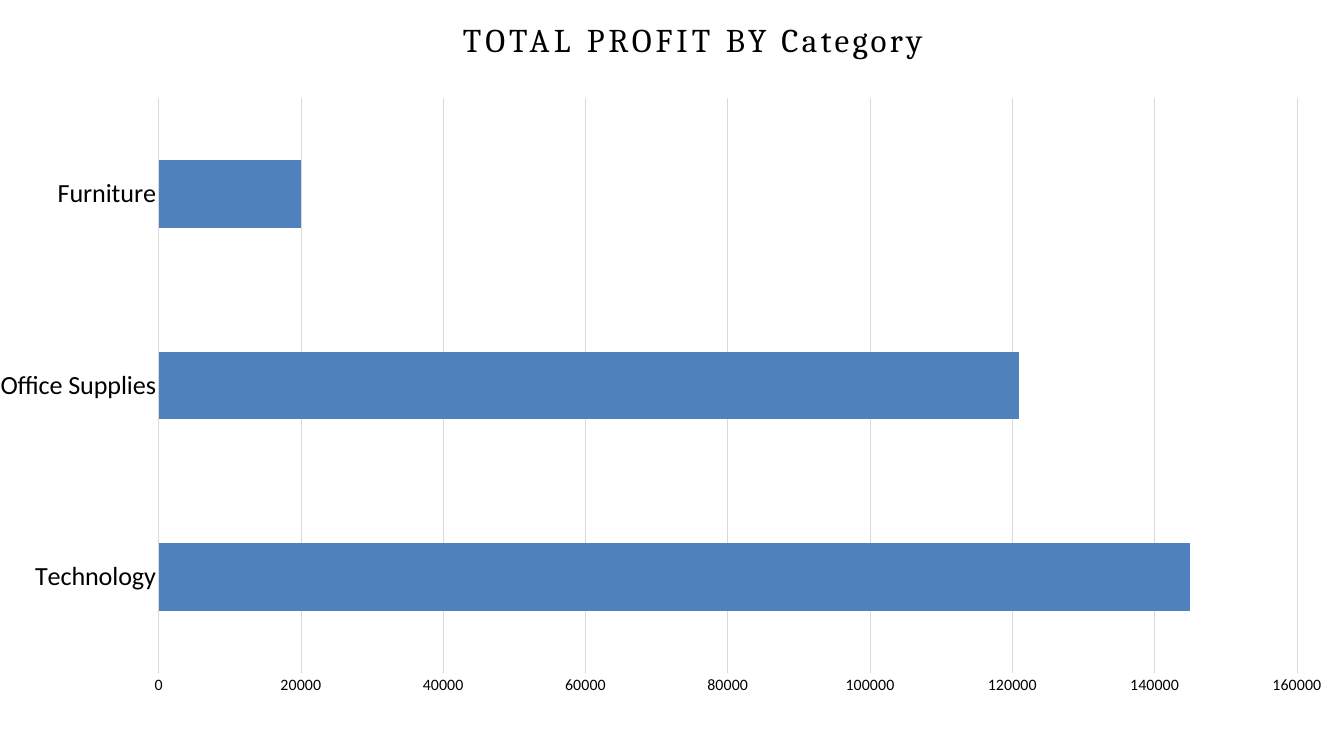
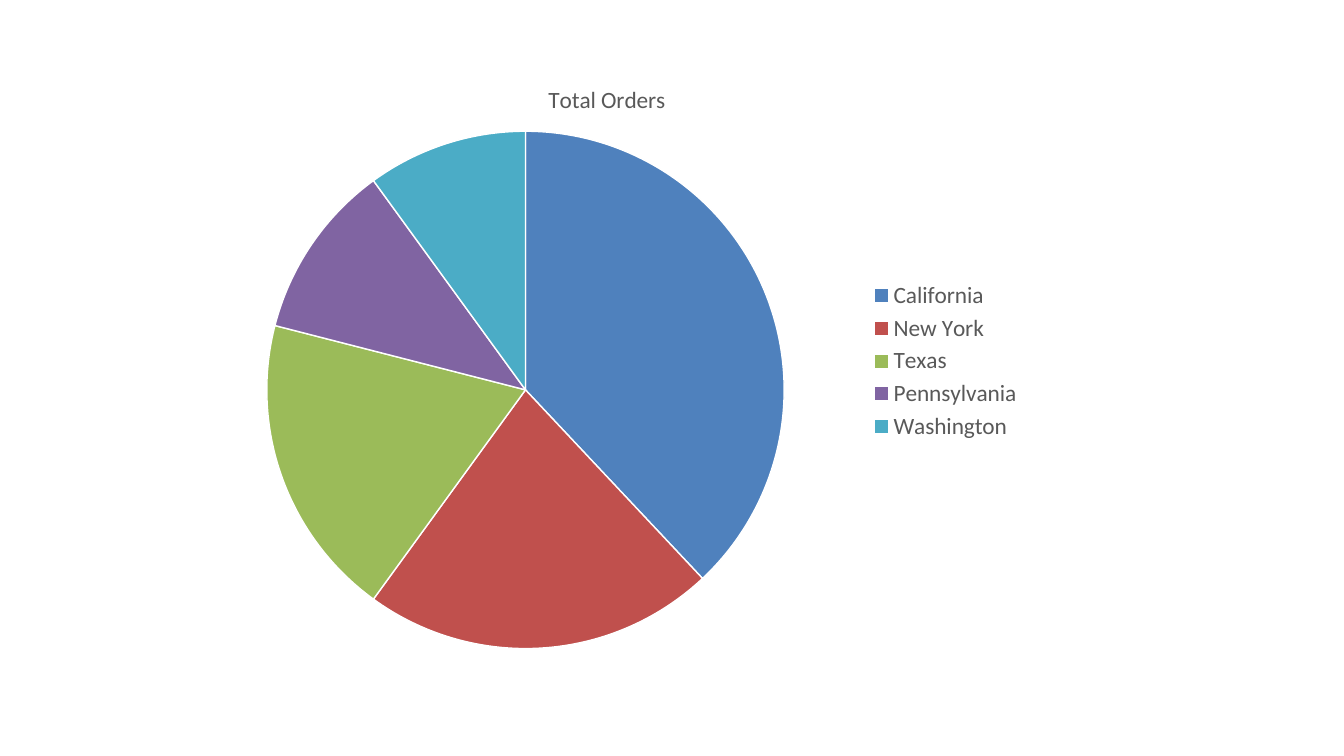
import dataclasses

import lxml.etree
import pptx
import pptx.chart.data
import pptx.dml.color
import pptx.enum.chart
import pptx.enum.text
import pptx.oxml.ns
import pptx.util
from pptx.util import Inches

RGB = pptx.dml.color.RGBColor.from_string


@dataclasses.dataclass(frozen=True)
class Theme:
    heading_font: str = "Cambria"
    body_font: str = "Calibri"
    black: str = "000000"
    white: str = "FFFFFF"
    gray: str = "595959"
    grid: str = "D9D9D9"
    accents: tuple = ("4F81BD", "C0504D", "9BBB59", "8064A2", "4BACC6")
    heading_size: float = 35.5
    chart_size: float = 10
    value_size: float = 17
    legend_size: float = 25
    category_size: float = 28


theme = Theme()


def style_font(font, size, color, name=theme.body_font):
    font.name = name
    font.size = pptx.util.Pt(size)
    font.bold = False
    font.color.rgb = RGB(color)


def add_chart(slide, kind, box, series_name, values):
    data = pptx.chart.data.CategoryChartData()
    data.categories = list(values)
    data.add_series(series_name, list(values.values()))
    frame = slide.shapes.add_chart(kind, *(Inches(length) for length in box), data)
    style_font(frame.chart.font, theme.chart_size, theme.black)
    return frame.chart


presentation = pptx.Presentation()
presentation.slide_width = Inches(20)
presentation.slide_height = Inches(11.25)
blank_layout = presentation.slide_layouts[6]

# Slide 1: heading, with letter spacing that tightens word by word
slide = presentation.slides.add_slide(blank_layout)
heading = slide.shapes.add_textbox(Inches(6.89), Inches(0.27), Inches(8.44), Inches(0.62))
text_frame = heading.text_frame
text_frame.word_wrap = True
text_frame.auto_size = pptx.enum.text.MSO_AUTO_SIZE.SHAPE_TO_FIT_TEXT
text_frame.margin_left = text_frame.margin_right = text_frame.margin_bottom = 0
text_frame.margin_top = Inches(0.02)
paragraph = text_frame.paragraphs[0]
paragraph.space_before = pptx.util.Pt(1.3)
style_font(paragraph.font, theme.heading_size, theme.black, theme.heading_font)
for word, spacing in (("TOTAL ", 480), ("PROFIT ", 430), ("BY ", 400), ("Category", 360)):
    run = paragraph.add_run()
    run.text = word
    run.font._element.set("spc", str(spacing)) if hasattr(run.font, "_element") else \
        run._r.get_or_add_rPr().set("spc", str(spacing))

# Slide 1: profit bars
profits = {"Technology": 145000, "Office Supplies": 121000, "Furniture": 20000}
chart = add_chart(slide, pptx.enum.chart.XL_CHART_TYPE.BAR_CLUSTERED,
                  (0, 1.46, 20, 9.52), "Series 1", profits)
chart.has_title = False
chart.has_legend = False
plot = chart.plots[0]
plot.gap_width = 182
plot.vary_by_categories = False
bar_fill = plot.series[0].format.fill
bar_fill.solid()
bar_fill.fore_color.rgb = RGB(theme.accents[0])

category_axis, value_axis = chart.category_axis, chart.value_axis
for axis, size in ((category_axis, theme.category_size), (value_axis, theme.value_size)):
    axis.major_tick_mark = pptx.enum.chart.XL_TICK_MARK.NONE
    axis.minor_tick_mark = pptx.enum.chart.XL_TICK_MARK.NONE
    style_font(axis.tick_labels.font, size, theme.black)
category_axis.has_major_gridlines = False
value_axis.has_major_gridlines = True
for line in (category_axis.format.line, value_axis.major_gridlines.format.line):
    line.color.rgb = RGB(theme.grid)
    line.width = pptx.util.Pt(0.75)
value_axis.format.line.fill.background()
value_axis.minimum_scale = 0
value_axis.maximum_scale = 160000
value_axis.major_unit = 20000

# Fixed inner plot area, as fractions of the chart
qualified = pptx.oxml.ns.qn
plot_area = chart._chartSpace.find(".//" + qualified("c:plotArea"))
for old_layout in plot_area.findall(qualified("c:layout")):
    plot_area.remove(old_layout)
layout = lxml.etree.Element(qualified("c:layout"))
manual = lxml.etree.SubElement(layout, qualified("c:manualLayout"))
for tag, setting in (("layoutTarget", "inner"), ("xMode", "edge"), ("yMode", "edge"),
                     ("x", "0.118"), ("y", "0"), ("w", "0.847"), ("h", "0.898")):
    lxml.etree.SubElement(manual, qualified("c:" + tag)).set("val", setting)
plot_area.insert(0, layout)

# Slide 2: orders by state
slide = presentation.slides.add_slide(blank_layout)
orders = {"California": 38, "New York": 22, "Texas": 19, "Pennsylvania": 11, "Washington": 10}
chart = add_chart(slide, pptx.enum.chart.XL_CHART_TYPE.PIE,
                  (2.74, 0.96, 12.58, 8.83), "Total Orders", orders)
chart.has_title = True
chart.chart_title.include_in_layout = False
title_paragraph = chart.chart_title.text_frame.paragraphs[0]
title_paragraph.text = "Total Orders"
style_font(title_paragraph.font, theme.legend_size, theme.gray)
chart.has_legend = True
chart.legend.position = pptx.enum.chart.XL_LEGEND_POSITION.RIGHT
chart.legend.include_in_layout = False
style_font(chart.legend.font, theme.legend_size, theme.gray)
chart.plots[0].vary_by_categories = True
for index, color in enumerate(theme.accents):
    slice_format = chart.plots[0].series[0].points[index].format
    slice_format.fill.solid()
    slice_format.fill.fore_color.rgb = RGB(color)
    slice_format.line.color.rgb = RGB(theme.white)
    slice_format.line.width = pptx.util.Pt(1.5)

presentation.save("out.pptx")
